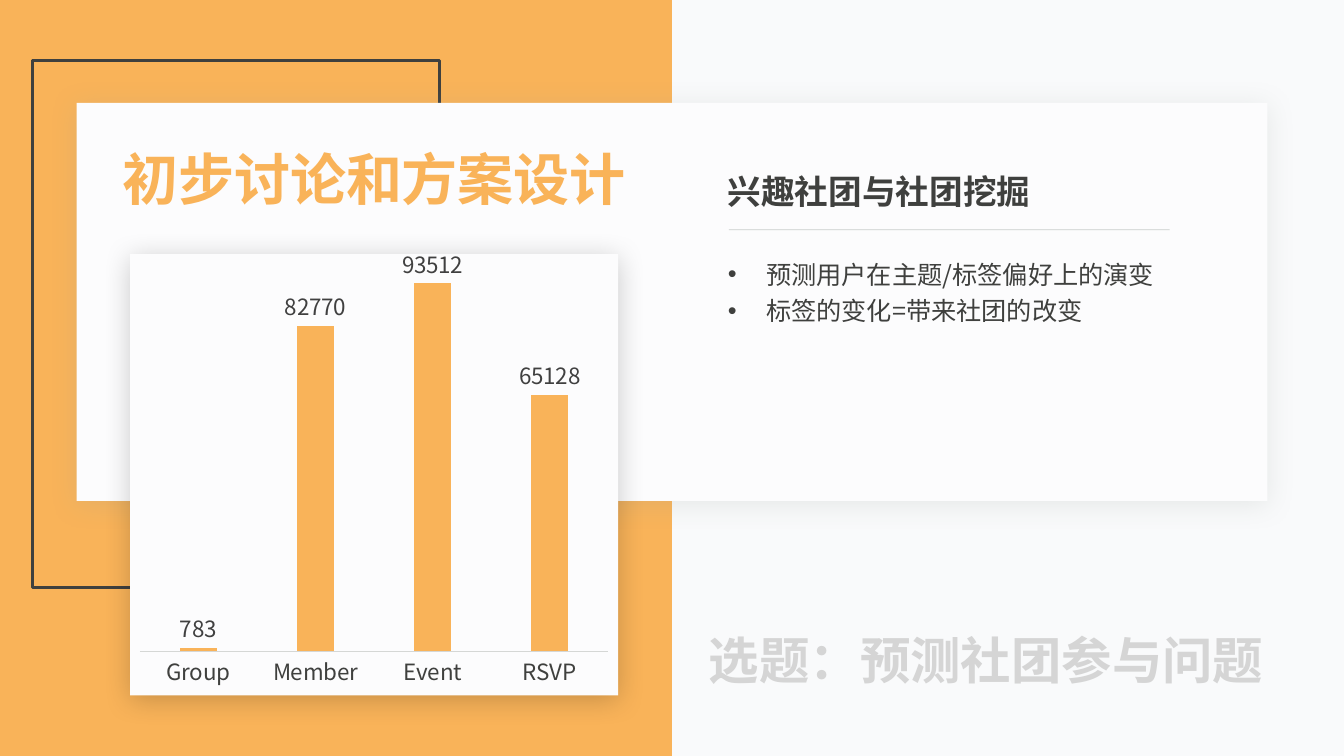
from lxml import etree
from pptx import Presentation
from pptx.chart.data import CategoryChartData
from pptx.dml.color import RGBColor
from pptx.enum.chart import XL_CHART_TYPE as ChartType, XL_LABEL_POSITION as LabelPos, XL_TICK_MARK as Tick
from pptx.enum.shapes import MSO_CONNECTOR as Connector, MSO_SHAPE as Shape
from pptx.enum.text import MSO_AUTO_SIZE as AutoSize, PP_ALIGN as Align
from pptx.oxml import parse_xml
from pptx.oxml.ns import nsdecls, qn
from pptx.util import Inches, Pt

FONT = "Noto Sans CJK SC"
ORANGE, INK, PAPER, SAGE = "F9B359", "3F403E", "FCFCFD", "969F98"


def color(hex_code):
    return RGBColor.from_string(hex_code)


def style_font(font, size, hex_code, bold=False):
    font.name = FONT
    font.size = Pt(size)
    font.bold = bold
    font.color.rgb = color(hex_code)


def add_text(slide, box, lines, size=18, hex_code=INK, bold=False,
             align=Align.LEFT, wrap=True, spacing=None, indent=None):
    frame = slide.shapes.add_textbox(*map(Inches, box)).text_frame
    frame.word_wrap = wrap
    frame.auto_size = AutoSize.SHAPE_TO_FIT_TEXT
    for index, line in enumerate(lines):
        paragraph = frame.paragraphs[0] if index == 0 else frame.add_paragraph()
        paragraph.alignment = align
        if indent:
            props = paragraph._p.get_or_add_pPr()
            props.set("marL", str(Inches(indent)))
            props.set("indent", str(-Inches(indent)))
            etree.SubElement(props, qn("a:buFont")).set("typeface", "Arial")
            etree.SubElement(props, qn("a:buChar")).set("char", "•")
        if spacing:
            paragraph.line_spacing = spacing
        run = paragraph.add_run()
        run.text = line
        style_font(run.font, size, hex_code, bold)
        etree.SubElement(run._r.get_or_add_rPr(), qn("a:ea")).set("typeface", FONT)


def add_panel(slide, box, fill=None, outline=None, shadow=None):
    panel = slide.shapes.add_shape(Shape.RECTANGLE, *map(Inches, box))
    panel.shadow.inherit = False
    if fill:
        panel.fill.solid()
        panel.fill.fore_color.rgb = color(fill)
    else:
        panel.fill.background()
    if outline:
        panel.line.color.rgb = color(outline)
        panel.line.width = Pt(2)
    else:
        panel.line.fill.background()
    if shadow:
        panel._element.spPr.find(qn("a:effectLst")).append(parse_xml(
            f'<a:outerShdw {nsdecls("a")} blurRad="{Pt(20)}" dist="{Pt(3)}" dir="5400000" '
            f'algn="t" rotWithShape="0"><a:srgbClr val="{shadow}">'
            '<a:alpha val="20000"/></a:srgbClr></a:outerShdw>'))


def add_divider(slide, left, right, top):
    divider = slide.shapes.add_connector(
        Connector.STRAIGHT, *map(Inches, (right, top, left, top)))
    divider.line.color.rgb = color(SAGE)
    divider.line.width = Pt(0.5)
    tint = divider._element.spPr.find(".//" + qn("a:srgbClr"))
    etree.SubElement(tint, qn("a:alpha")).set("val", "50000")
    etree.SubElement(divider._element.spPr, qn("a:effectLst"))


def build_backdrop(slide, width, height):
    slide.background.fill.solid()
    slide.background.fill.fore_color.rgb = color("F9FAFB")
    add_panel(slide, (0, 0, width / 2, height), fill=ORANGE)
    add_panel(slide, (0.32, 0.6, 4.04, 5.23), outline=INK)


def build_topic_card(slide, left, top, width, height):
    add_panel(slide, (left, top, width, height), fill=PAPER, shadow=SAGE)
    column = left + 6.36
    add_text(slide, (column, top + 1.44, 4.93, 0.83),
             ["预测用户在主题/标签偏好上的演变", "标签的变化=带来社团的改变"],
             spacing=1.2, indent=0.38)
    add_text(slide, (column, top + 0.63, 3.2, 0.5), ["兴趣社团与社团挖掘"],
             size=24, bold=True, wrap=False)
    add_divider(slide, column + 0.11, column + 4.48, top + 1.26)
    add_text(slide, (left + 0.35, top + 0.36, 5.2, 0.77), ["初步讨论和方案设计"],
             size=40, hex_code=ORANGE, bold=True, align=Align.CENTER, wrap=False)


def build_count_chart(slide, left, top, width, height):
    add_panel(slide, (left, top, width, height), fill=PAPER, shadow="000000")
    counts = CategoryChartData()
    counts.categories = ["Group", "Member", "Event", "RSVP"]
    counts.add_series("Series 1", (783, 82770, 93512, 65128))
    chart = slide.shapes.add_chart(
        ChartType.COLUMN_CLUSTERED,
        *map(Inches, (left, top - 0.06, width, height + 0.06)), counts).chart
    style_font(chart.font, 10, "000000")
    chart.has_legend = False
    chart.has_title = False

    names = chart.category_axis
    names.major_tick_mark = names.minor_tick_mark = Tick.NONE
    style_font(names.tick_labels.font, 16, INK)
    names.format.line.color.rgb = color("D5D7D5")
    names.format.line.width = Pt(0.25)
    scale = chart.value_axis
    scale.has_major_gridlines = False
    scale.visible = False
    scale.minimum_scale, scale.maximum_scale = 0, 100000

    columns = chart.plots[0]
    columns.gap_width = 219
    columns.overlap = -27
    columns.vary_by_categories = False
    columns.series[0].format.fill.solid()
    columns.series[0].format.fill.fore_color.rgb = color(ORANGE)
    labels = columns.series[0].data_labels
    labels.show_value = True
    labels.position = LabelPos.OUTSIDE_END
    style_font(labels.font, 16, "404040")


def build_topic_caption(slide, *box):
    add_text(slide, box, ["选题：预测社团参与问题"],
             size=36, hex_code="D5D5D5", bold=True, align=Align.CENTER)


def main():
    deck = Presentation()
    width, height = 13.33, 7.5
    deck.slide_width, deck.slide_height = Inches(width), Inches(height)
    slide = deck.slides.add_slide(deck.slide_layouts[6])
    build_backdrop(slide, width, height)
    build_topic_card(slide, 0.76, 1.02, 11.81, 3.95)
    build_count_chart(slide, 1.29, 2.52, 4.84, 4.38)
    build_topic_caption(slide, 6.79, 6.19, 5.98, 0.71)
    deck.save("out.pptx")


if __name__ == "__main__":
    main()
